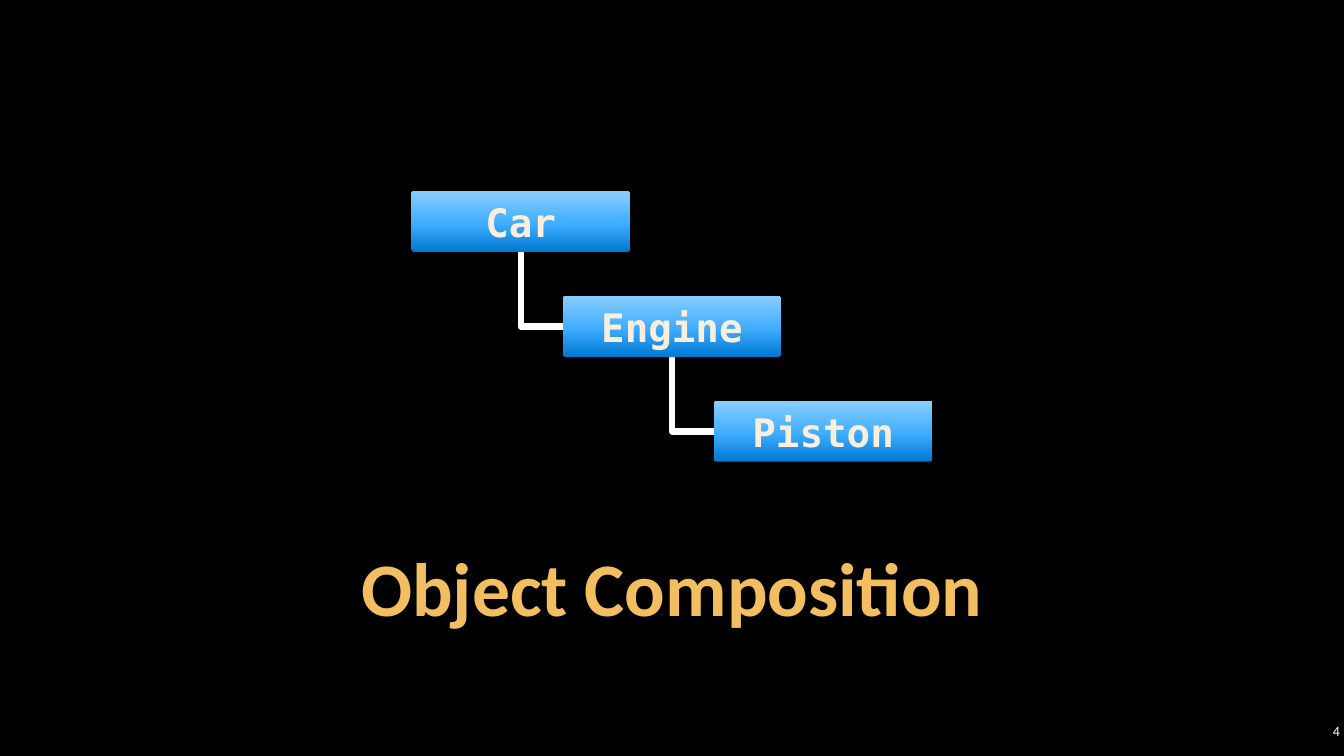
from copy import deepcopy

from pptx import Presentation
from pptx.dml.color import RGBColor
from pptx.enum.shapes import MSO_CONNECTOR, MSO_SHAPE
from pptx.enum.text import MSO_ANCHOR, MSO_AUTO_SIZE, PP_ALIGN
from pptx.oxml.ns import qn
from pptx.util import Inches, Pt
from lxml import etree

COLORS = {
    "background": "000000",
    "title": "F3BE60",
    "white": "FFFFFF",
    "label": "FBEEDC",
}
BOX_GRADIENT = [(0, "0078D2"), (0.48, "41AEFF"), (1, "89CDFF")]
BOX_WIDTH, BOX_HEIGHT = 2.17, 0.6
FIRST_LEFT, FIRST_TOP = 4.08, 1.9
STEP_RIGHT, STEP_DOWN = 1.5, 1.04


def write_text(shape, text, size, font_name, color, align, anchor, bold=False):
    frame = shape.text_frame
    frame.text = text
    frame.word_wrap = True
    frame.vertical_anchor = anchor
    para = frame.paragraphs[0]
    para.alignment = align
    para.font.size = Pt(size)
    para.font.name = font_name
    para.font.bold = bold
    para.font.color.rgb = RGBColor.from_string(COLORS[color])
    return frame


def set_margins(frame, inches):
    frame.margin_left = frame.margin_right = Inches(inches)
    frame.margin_top = frame.margin_bottom = Inches(inches)


deck = Presentation()
deck.slide_width, deck.slide_height = Inches(13.33), Inches(7.5)
page = deck.slides.add_slide(deck.slide_layouts[5])
page.background.fill.solid()
page.background.fill.fore_color.rgb = RGBColor.from_string(COLORS["background"])

# Title and slide number
title = page.shapes.title
title.left, title.top = Inches(1), Inches(5.42)
title.width, title.height = Inches(11.33), Inches(0.9)
frame = write_text(title, "Object Composition", 54, "Calibri", "title",
                   PP_ALIGN.CENTER, MSO_ANCHOR.BOTTOM, bold=True)
set_margins(frame, 0.04)
frame.auto_size = MSO_AUTO_SIZE.SHAPE_TO_FIT_TEXT
frame.paragraphs[0].line_spacing = 0.9

number = page.shapes.add_textbox(Inches(12.86), Inches(7.14), Inches(0.47), Inches(0.22))
frame = write_text(number, "4", 10, "Calibri", "white", PP_ALIGN.RIGHT, MSO_ANCHOR.MIDDLE)
set_margins(frame, 0.04)

# Staircase of class boxes
boxes = []
for index, name in enumerate(["Car", "Engine", "Piston"]):
    box = page.shapes.add_shape(
        MSO_SHAPE.ROUNDED_RECTANGLE,
        Inches(FIRST_LEFT + index * STEP_RIGHT), Inches(FIRST_TOP + index * STEP_DOWN),
        Inches(BOX_WIDTH), Inches(BOX_HEIGHT))
    box.adjustments[0] = 0.05
    box.shadow.inherit = False
    box.line.fill.background()
    box.fill.gradient()
    box.fill.gradient_angle = 90
    stop_list = box.fill._fill._gradFill.find(qn("a:gsLst"))
    stop_list.append(deepcopy(stop_list[-1]))
    for stop, (position, color) in zip(box.fill.gradient_stops, BOX_GRADIENT):
        stop.position = position
        stop.color.rgb = RGBColor.from_string(color)
    write_text(box, name, 28, "DejaVu Sans Mono", "label",
               PP_ALIGN.CENTER, MSO_ANCHOR.MIDDLE, bold=True)
    boxes.append(box)

# Elbows from the bottom of each owner to the left side of its part
for owner, part in zip(boxes, boxes[1:]):
    elbow = page.shapes.add_connector(MSO_CONNECTOR.ELBOW, 0, 0, 0, 0)
    elbow.begin_connect(owner, 2)
    elbow.end_connect(part, 1)
    elbow.line.width = Pt(4.5)
    elbow.line.color.rgb = RGBColor.from_string(COLORS["white"])
    properties = elbow._element.spPr
    etree.SubElement(properties, qn("a:effectLst"))

    # A one-bend elbow runs across first, so turn and flip it to run down first
    properties.find(qn("a:prstGeom")).set("prst", "bentConnector2")
    across, down = elbow.width, elbow.height
    elbow.left += (across - down) // 2
    elbow.top += (down - across) // 2
    elbow.width, elbow.height = down, across
    transform = properties.find(qn("a:xfrm"))
    transform.set("rot", str(270 * 60000))
    transform.set("flipH", "1")

deck.save("out.pptx")
